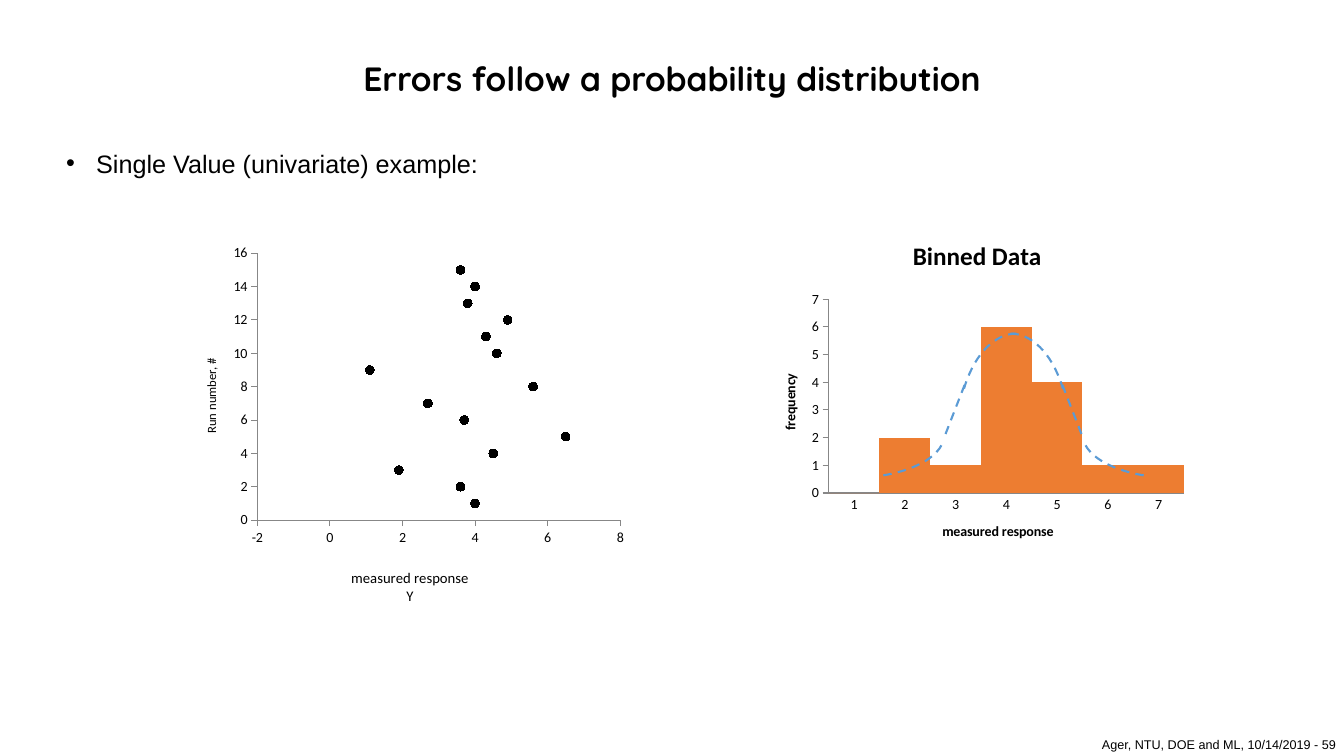
import pptx
import pptx.chart.data
import pptx.dml.color
import pptx.enum.chart
import pptx.enum.dml
import pptx.enum.shapes
import pptx.enum.text
import pptx.oxml
import pptx.oxml.ns
import pptx.util
from lxml import etree

Pt = pptx.util.Pt
qn = pptx.oxml.ns.qn
SHAPE = pptx.enum.shapes.MSO_SHAPE
CHART = pptx.enum.chart.XL_CHART_TYPE
TICK = pptx.enum.chart.XL_TICK_MARK
ALIGN = pptx.enum.text.PP_ALIGN
ANCHOR = pptx.enum.text.MSO_ANCHOR

BLACK = pptx.dml.color.RGBColor(0x00, 0x00, 0x00)
AXIS_GRAY = pptx.dml.color.RGBColor(0x87, 0x87, 0x87)
BAR_ORANGE = pptx.dml.color.RGBColor(0xED, 0x7D, 0x31)
CURVE_BLUE = pptx.dml.color.RGBColor(0x5B, 0x9B, 0xD5)

RESPONSES = [4, 3.6, 1.9, 4.5, 6.5, 3.7, 2.7, 5.6, 1.1, 4.6, 4.3, 4.9, 3.8, 4, 3.6]
FREQUENCIES = [0, 2, 1, 6, 4, 1, 1]
CURVE_AXIS = 723.95


def set_font(font, name, size, bold=False):
    font.name, font.size, font.bold = name, Pt(size), bold
    font.color.rgb = BLACK


def place(shape, left, top, width, height):
    shape.left, shape.top = Pt(left), Pt(top)
    shape.width, shape.height = Pt(width), Pt(height)


def write_text(shape, text, font_name, size, bold=False, align=ALIGN.LEFT,
               anchor=ANCHOR.TOP, wrap=True, spacing=1.0, bullet_indent=0):
    frame = shape.text_frame
    frame.auto_size = pptx.enum.text.MSO_AUTO_SIZE.NONE
    frame.word_wrap = wrap
    frame.vertical_anchor = anchor
    frame.text = text
    paragraph = frame.paragraphs[0]
    if bullet_indent:
        properties = paragraph._p.get_or_add_pPr()
        properties.set("marL", str(Pt(bullet_indent)))
        properties.set("indent", str(-Pt(bullet_indent)))
        etree.SubElement(properties, qn("a:buFont")).set("typeface", "Arial")
        etree.SubElement(properties, qn("a:buChar")).set("char", "•")
    paragraph.alignment = align
    paragraph.line_spacing = spacing
    paragraph.space_before = Pt(0)
    set_font(paragraph.font, font_name, size, bold)


def set_layout(parent, index, **settings):
    for old in parent.findall(qn("c:layout")):
        parent.remove(old)
    layout = pptx.oxml.parse_xml(
        f'<c:layout {pptx.oxml.ns.nsdecls("c")}><c:manualLayout/></c:layout>')
    for tag, value in settings.items():
        etree.SubElement(layout[0], qn(f"c:{tag}")).set("val", str(value))
    parent.insert(index, layout)


def write_chart_text(frame, text, size, bold):
    frame.text = text
    for paragraph in frame.paragraphs:
        set_font(paragraph.font, "Calibri", size, bold)


def style_axis(axis, tick, minimum=None, maximum=None, major=None):
    axis.has_major_gridlines = False
    axis.major_tick_mark = tick
    axis.minor_tick_mark = TICK.NONE
    axis.format.line.color.rgb = AXIS_GRAY
    axis.format.line.width = Pt(0.75)
    axis.tick_labels.number_format = "General"
    axis.tick_labels.number_format_is_linked = False
    if major:
        axis.minimum_scale, axis.maximum_scale = minimum, maximum
        axis.major_unit = major


def add_chart(slide, kind, data, box, plot, title, title_size, title_bold):
    chart = slide.shapes.add_chart(kind, *map(Pt, box), data).chart
    chart.has_legend = False
    set_font(chart.font, "Calibri", 10)
    chart.has_title = True
    write_chart_text(chart.chart_title.text_frame, title, title_size, title_bold)
    chart.plots[0].vary_by_categories = False
    left, top, width, height = plot
    set_layout(chart.element.find(".//" + qn("c:plotArea")), 0,
               layoutTarget="inner", xMode="edge", yMode="edge",
               x=left, y=top, w=width, h=height)
    return chart


def add_run_scatter(slide):
    data = pptx.chart.data.XyChartData()
    runs = data.add_series("Series 1")
    for run_number, response in enumerate(RESPONSES, 1):
        runs.add_data_point(response, run_number)
    chart = add_chart(slide, CHART.XY_SCATTER, data, (95.8, 110.2, 373, 344.9),
                      (0.236, 0.205, 0.695, 0.553), "measured response\nY", 10.5, False)
    set_layout(chart.chart_title._element, 1, xMode="edge", yMode="edge", x=0.41, y=0.85)
    style_axis(chart.category_axis, TICK.OUTSIDE, -2, 8, 2)
    chart.category_axis.crosses = pptx.enum.chart.XL_AXIS_CROSSES.MINIMUM
    style_axis(chart.value_axis, TICK.OUTSIDE, 0, 16, 2)
    write_chart_text(chart.value_axis.axis_title.text_frame, "Run number, #", 9, False)
    points = chart.plots[0].series[0]
    points.format.line.fill.background()
    points.marker.style = pptx.enum.chart.XL_MARKER_STYLE.CIRCLE
    points.marker.size = 6
    points.marker.format.fill.solid()
    points.marker.format.fill.fore_color.rgb = BLACK
    points.marker.format.line.color.rgb = BLACK


def add_histogram(slide):
    data = pptx.chart.data.CategoryChartData()
    data.categories = [str(bin_number) for bin_number in range(1, 8)]
    data.add_series("Series 1", FREQUENCIES)
    chart = add_chart(slide, CHART.COLUMN_CLUSTERED, data, (535.7, 157.7, 324.7, 256.3),
                      (0.173, 0.219, 0.782, 0.54), "Binned Data", 18, True)
    style_axis(chart.category_axis, TICK.NONE)
    style_axis(chart.value_axis, TICK.OUTSIDE, 0, 7, 1)
    for axis, label in ((chart.category_axis, "measured response"),
                        (chart.value_axis, "frequency")):
        write_chart_text(axis.axis_title.text_frame, label, 10, True)
    chart.plots[0].gap_width = 0
    bars = chart.plots[0].series[0].format.fill
    bars.solid()
    bars.fore_color.rgb = BAR_ORANGE


def style_curve(line):
    line.color.rgb = CURVE_BLUE
    line.width = Pt(1.5)
    line.dash_style = pptx.enum.dml.MSO_LINE.DASH


def add_arc(slide, box, start, end, mirrored):
    left, top, width, height = box
    if mirrored:
        left = 2 * CURVE_AXIS - left - width
    arc = slide.shapes.add_shape(SHAPE.ARC, Pt(left), Pt(top), Pt(width), Pt(height))
    arc.adjustments[0], arc.adjustments[1] = start, end
    arc.shadow.inherit = False
    arc.fill.background()
    style_curve(arc.line)
    if mirrored:
        arc._element.spPr.find(qn("a:xfrm")).set("flipH", "1")


def add_flank(slide, start, end, mirrored):
    (x1, y1), (x2, y2) = start, end
    if mirrored:
        x1, x2 = 2 * CURVE_AXIS - x1, 2 * CURVE_AXIS - x2
    flank = slide.shapes.add_connector(pptx.enum.shapes.MSO_CONNECTOR.STRAIGHT,
                                       Pt(x1), Pt(y1), Pt(x2), Pt(y2))
    style_curve(flank.line)
    etree.SubElement(flank._element.spPr, qn("a:effectLst"))


def add_bell_curve(slide):
    for mirrored in (False, True):
        add_arc(slide, (679.7, 238.3, 84.2, 144), 162, 191.35, mirrored)
        add_arc(slide, (773.3, 279.4, 130.3, 61.9), 75.83, 105.97, mirrored)
        add_flank(slide, (758.9, 275), (774, 313.9), mirrored)


def main():
    deck = pptx.Presentation()
    deck.slide_width, deck.slide_height = Pt(960), Pt(540)
    slide = deck.slides.add_slide(deck.slide_layouts[1])
    title, example = slide.placeholders
    place(title, 66, 24, 828, 67)
    write_text(title, "Errors follow a probability distribution", "Quicksand", 24,
               bold=True, align=ALIGN.CENTER, anchor=ANCHOR.MIDDLE, spacing=0.9)
    place(example, 40, 102.2, 816, 29)
    write_text(example, "Single Value (univariate) example:", "Arial", 18,
               bullet_indent=21.5)
    add_run_scatter(slide)
    add_histogram(slide)
    add_bell_curve(slide)
    footer = slide.shapes.add_textbox(Pt(780), Pt(522.7), Pt(185), Pt(18))
    write_text(footer, "Ager, NTU, DOE and ML, 10/14/2019 - 59", "Arial", 9, wrap=False)
    deck.save("out.pptx")


if __name__ == "__main__":
    main()
